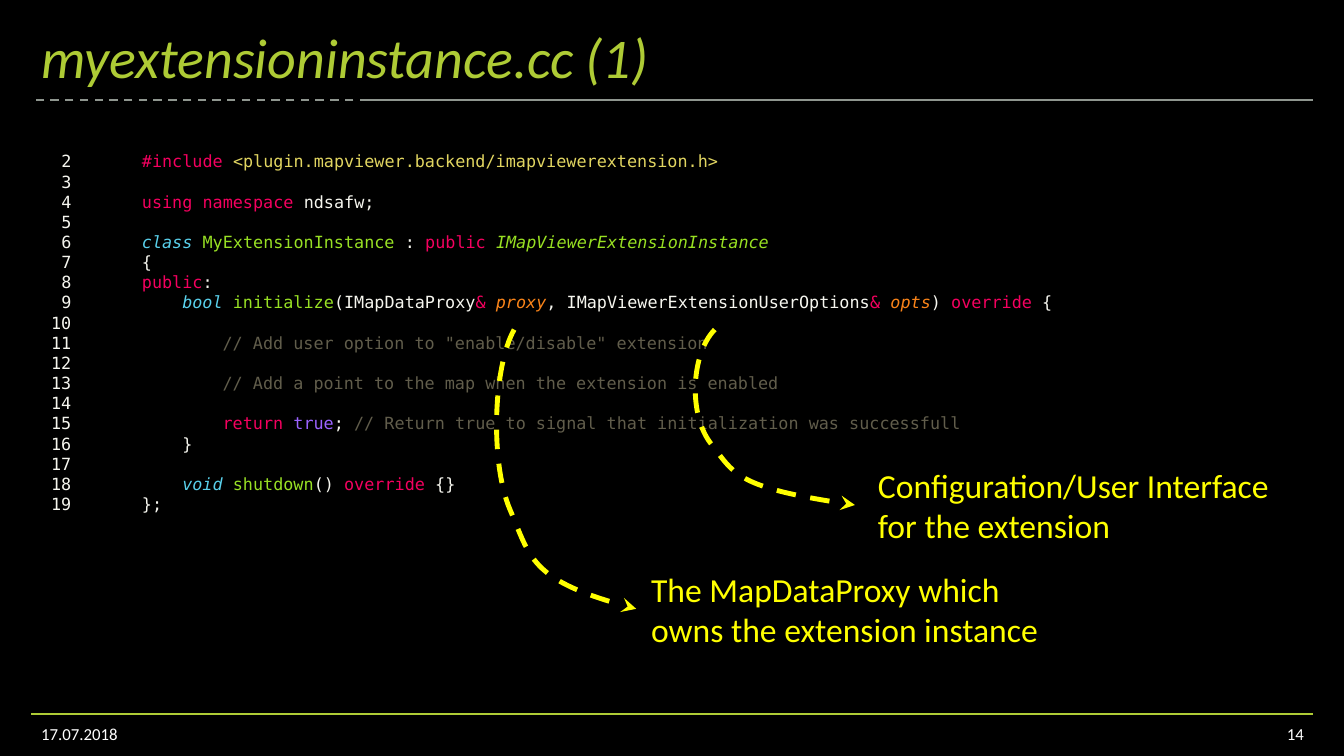
from lxml.etree import SubElement
from pptx import Presentation
from pptx.dml.color import RGBColor
from pptx.enum.dml import MSO_LINE
from pptx.enum.shapes import MSO_CONNECTOR
from pptx.enum.text import MSO_ANCHOR, MSO_AUTO_SIZE, PP_ALIGN
from pptx.oxml.ns import qn
from pptx.util import Pt

PX = 9144  # 100 px to the inch
COLORS = {
    "back": "000000", "rule": "8F968F", "lime": "AECB35", "white": "FFFFFF",
    "note": "FFFF00", "plain": "F6F6EF", "key": "F4005F", "string": "E1D561",
    "type": "59D0EB", "name": "98E024", "base": "98E022", "arg": "FA8419",
    "remark": "615D4B", "value": "9B63FF",
}
ITALIC = {"type", "base", "arg"}


def style(run, size, color, face="Calibri", italic=False):
    font = run.font
    font.size, font.name, font.italic = Pt(size), face, italic
    font.color.rgb = RGBColor.from_string(COLORS[color])


def add_text(box, text, size, color):
    """Add a wrapped text box; box is left, top, width, height in px."""
    frame = slide.shapes.add_textbox(*[n * PX for n in box]).text_frame
    frame.word_wrap = True
    frame.text = text
    for par in frame.paragraphs:
        for run in par.runs:
            style(run, size, color)
    return frame


deck = Presentation()
deck.slide_width, deck.slide_height = 1333 * PX, 750 * PX
slide = deck.slides.add_slide(deck.slide_layouts[5])
slide.background.fill.solid()
slide.background.fill.fore_color.rgb = RGBColor.from_string(COLORS["back"])

# Rules
for start, end, y, color, dash in [
    (1302, 365, 99, "rule", None),
    (365, 31, 99, "rule", MSO_LINE.DASH),
    (1302, 31, 708, "lime", None),
]:
    rule = slide.shapes.add_connector(
        MSO_CONNECTOR.STRAIGHT, start * PX, y * PX, end * PX, y * PX)
    rule.line.color.rgb = RGBColor.from_string(COLORS[color])
    rule.line.width = Pt(1.5)
    rule.line.dash_style = dash
    SubElement(rule.element.spPr, qn("a:effectLst"))

# Title
title = slide.shapes.title
title.left, title.top, title.width, title.height = [
    n * PX for n in (31, 20, 1211, 79)]
frame = title.text_frame
frame.text = "myextensioninstance.cc (1)"
frame.auto_size = MSO_AUTO_SIZE.NONE
frame.vertical_anchor = MSO_ANCHOR.MIDDLE
par = frame.paragraphs[0]
par.alignment, par.line_spacing = PP_ALIGN.LEFT, 0.9
style(par.runs[0], 40, "lime", italic=True)

# Footer
for box, text, align in [
    ((31, 708, 300, 40), "17.07.2018", PP_ALIGN.LEFT),
    ((1101, 708, 202, 40), "14", PP_ALIGN.RIGHT),
]:
    frame = add_text(box, text, 12, "white")
    frame.vertical_anchor = MSO_ANCHOR.MIDDLE
    frame.paragraphs[0].alignment = align

# Code: indent depth, then text and colour of each part
code = [
    (0, [("#include ", "key"),
         ("<plugin.mapviewer.backend/imapviewerextension.h>", "string")]),
    (0, []),
    (0, [("using namespace", "key"), (" ndsafw;", "plain")]),
    (0, []),
    (0, [("class ", "type"), ("MyExtensionInstance", "name"), (" : ", "plain"),
         ("public ", "key"), ("IMapViewerExtensionInstance", "base")]),
    (0, [("{", "plain")]),
    (0, [("public", "key"), (":", "plain")]),
    (1, [("bool ", "type"), ("initialize", "name"), ("(IMapDataProxy", "plain"),
         ("& ", "key"), ("proxy", "arg"),
         (", IMapViewerExtensionUserOptions", "plain"), ("& ", "key"),
         ("opts", "arg"), (") ", "plain"), ("override", "key"), (" {", "plain")]),
    (0, []),
    (2, [('// Add user option to "enable/disable" extension', "remark")]),
    (0, []),
    (2, [("// Add a point to the map when the extension is enabled", "remark")]),
    (0, []),
    (2, [("return ", "key"), ("true", "value"), ("; ", "plain"),
         ("// Return true to signal that initialization was successfull", "remark")]),
    (1, [("}", "plain")]),
    (0, []),
    (1, [("void ", "type"), ("shutdown", "name"), ("() ", "plain"),
         ("override", "key"), (" {}", "plain")]),
    (0, [("};", "plain")]),
]
frame = add_text((31, 145, 1214, 374), "", 12, "plain")
for num, (depth, parts) in enumerate(code, 2):
    par = frame.paragraphs[0] if num == 2 else frame.add_paragraph()
    tabs = SubElement(par._p.get_or_add_pPr(), qn("a:tabLst"))
    for stop, side in [(30, "r"), (100 + 40 * depth, "l")]:
        SubElement(tabs, qn("a:tab"), pos=str(stop * PX), algn=side)
    for text, color in [(f"\t{num}\t", "plain"), *parts]:
        run = par.add_run()
        run.text = text
        style(run, 12, color, "DejaVu Sans Mono", color in ITALIC)

# Notes, each with a curved arrow: start, then three points per Bézier curve
for box, text, start, points in [
    ((636, 559, 413, 91), "The MapDataProxy which\nowns the extension instance",
     (510, 327),
     [(489, 364), (486, 460), (506, 506), (526, 553), (526, 577), (631, 604)]),
    ((861, 456, 413, 91), "Configuration/User Interface for the extension",
     (709, 327),
     [(686, 350), (682, 410), (705, 440), (728, 469), (728, 484), (848, 501)]),
]:
    pen = slide.shapes.build_freeform(*start, scale=PX)
    pen.add_line_segments(points, close=False)
    arrow = pen.convert_to_shape()
    arrow.shadow.inherit = False
    arrow.fill.background()
    arrow.line.color.rgb = RGBColor.from_string(COLORS["note"])
    arrow.line.width = Pt(3.5)
    arrow.line.dash_style = MSO_LINE.DASH
    props = arrow.element.spPr
    SubElement(props.find(qn("a:ln")), qn("a:tailEnd"), type="stealth")
    route = props.find(".//" + qn("a:path"))
    for i, step in enumerate(route.findall(qn("a:lnTo"))):
        if i % 3 == 0:
            curve = SubElement(route, qn("a:cubicBezTo"))
        curve.append(step[0])
        route.remove(step)
    add_text(box, text, 24, "note")

deck.save("out.pptx")
